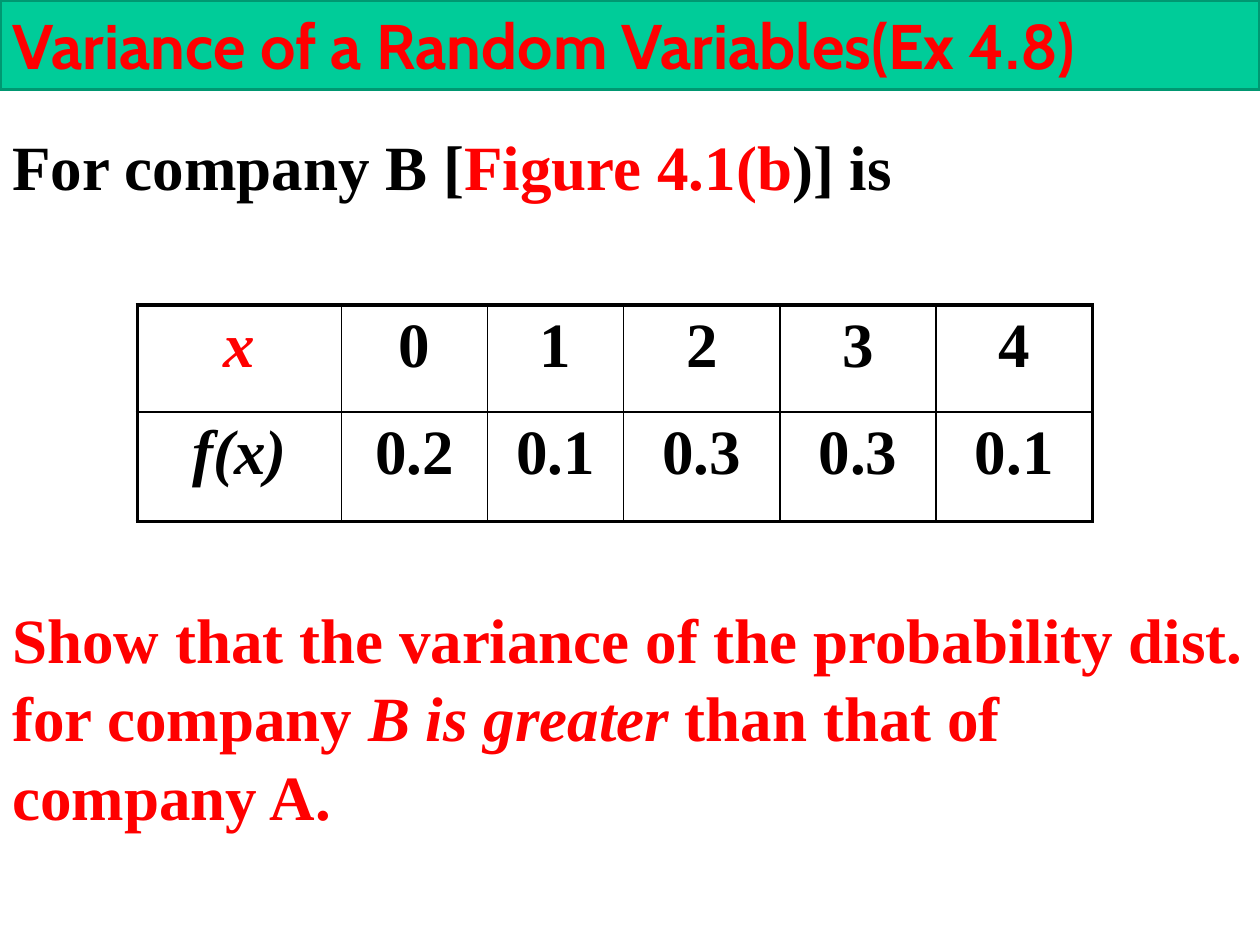
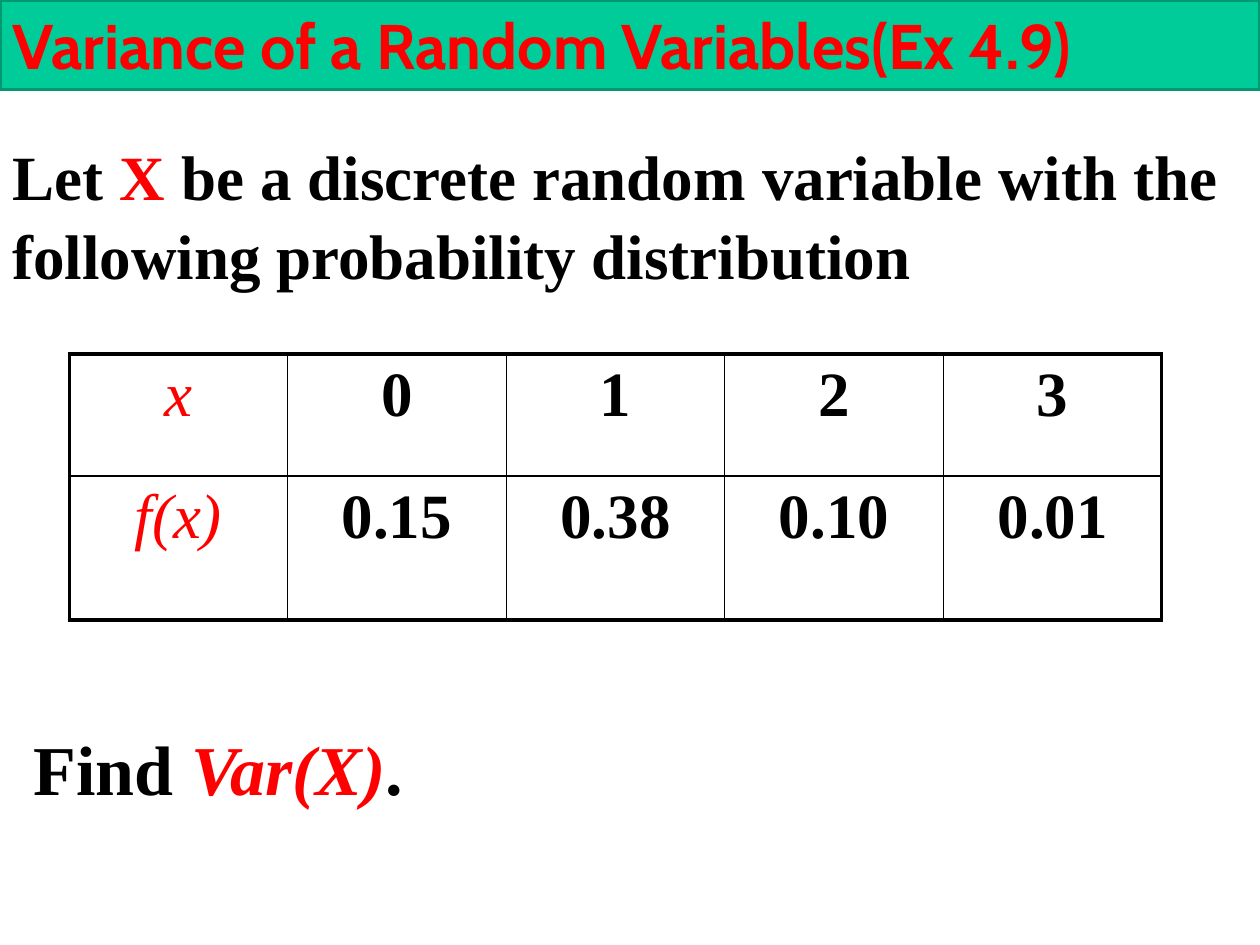
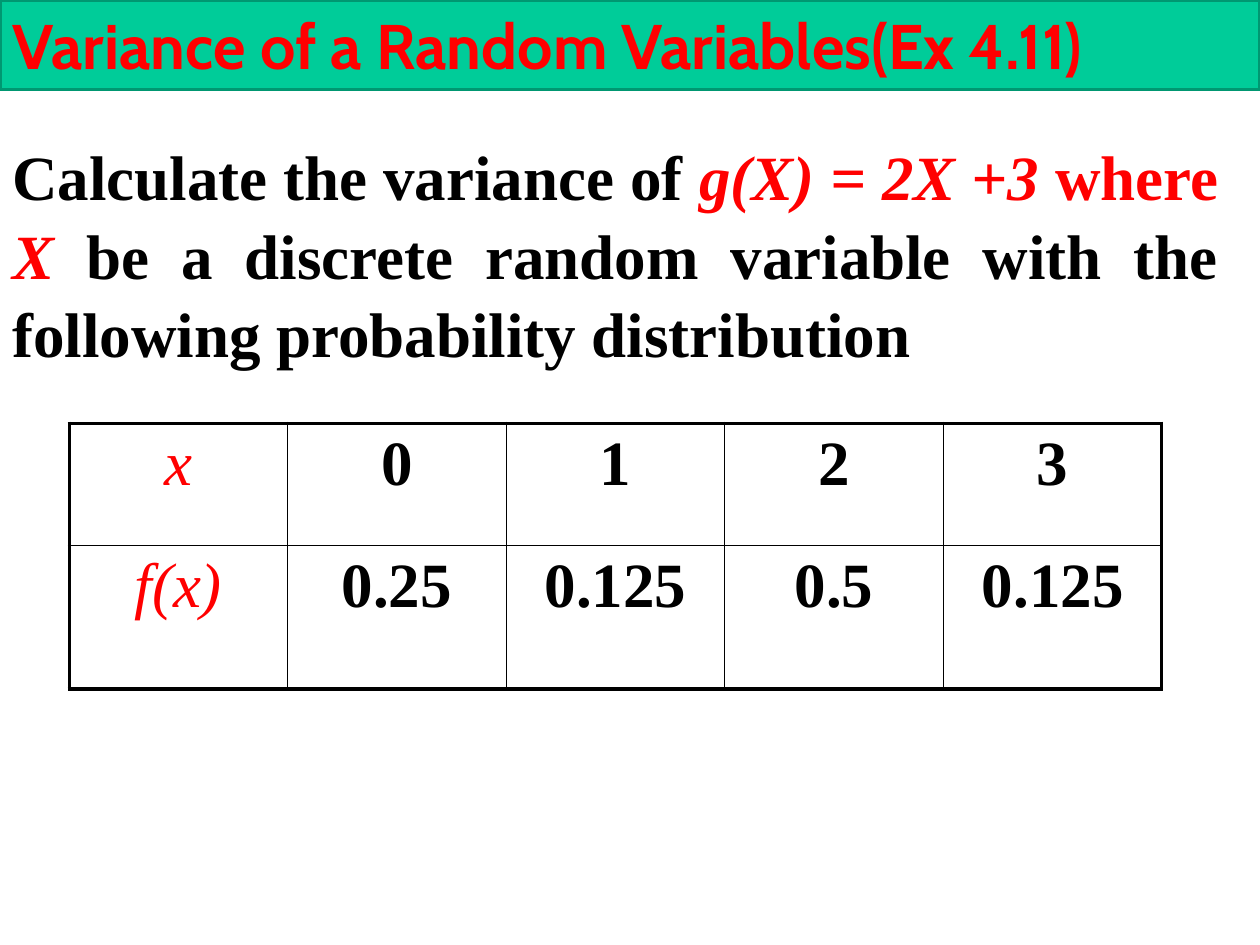
from lxml.etree import SubElement
from pptx import Presentation
from pptx.dml.color import RGBColor
from pptx.enum.text import MSO_ANCHOR, MSO_AUTO_SIZE as AUTO, PP_ALIGN as AL
from pptx.oxml.ns import qn
from pptx.util import Inches, Pt

C = {"red": "FF0000", "black": "000000", "band": "00CC99", "edge": "009771"}
TITLE_FONT, BODY_FONT = "Cabin", "Times New Roman"
THICK, THIN = 2.25, 1

# Each run is (text, colour, italic); each text is (box, size, alignment, runs)
EXAMPLES = [
    {
        "number": "4.8",
        "texts": [
            ((0, 0.94, 9.75, 0.71), 36, AL.JUSTIFY, [
                ("For company B [", "black", False),
                ("Figure 4.1(b", "red", False),
                (")] is", "black", False)]),
            ((0, 4.69, 10, 1.92), 36, AL.LEFT, [
                ("Show that the variance of the probability dist. for company ",
                 "red", False),
                ("B is greater ", "red", True),
                ("than that of company A.", "red", False)]),
        ],
        "at": (1.09, 2.42),
        "cols": [1.62, 1.16, 1.08, 1.24, 1.24, 1.24],
        "rows": [0.85, 0.87],
        "f": ["0.2", "0.1", "0.3", "0.3", "0.1"],
        "label_colors": ("red", "black"),
        "label_bold": True,
    },
    {
        "number": "4.9",
        "texts": [
            ((0, 1.02, 9.77, 1.31), 36, AL.JUSTIFY, [
                ("Let ", "black", False),
                ("X", "red", False),
                (" be a discrete random variable with the following "
                 "probability distribution", "black", False)]),
            ((0.17, 5.68, 4.83, 0.77), 40, AL.JUSTIFY, [
                ("Find ", "black", False),
                ("Var(X)", "red", True),
                (".", "black", False)]),
        ],
        "at": (0.55, 2.81),
        "cols": [1.73, 1.74, 1.73, 1.74, 1.73],
        "rows": [0.97, 1.14],
        "f": ["0.15", "0.38", "0.10", "0.01"],
        "label_colors": ("red", "red"),
        "label_bold": False,
    },
    {
        "number": "4.11",
        "texts": [
            ((0, 1.02, 9.77, 1.92), 36, AL.JUSTIFY, [
                ("Calculate the variance of ", "black", False),
                ("g(X) = 2X +3 ", "red", True),
                ("where", "red", False),
                (" X ", "red", True),
                ("be a discrete random variable with the following "
                 "probability distribution", "black", False)]),
        ],
        "at": (0.55, 3.36),
        "cols": [1.73, 1.74, 1.73, 1.74, 1.73],
        "rows": [0.97, 1.14],
        "f": ["0.25", "0.125", "0.5", "0.125"],
        "label_colors": ("red", "red"),
        "label_bold": False,
    },
]


def add_run(p, text, color, size=36, font=BODY_FONT, bold=True, italic=False):
    r = p.add_run()
    r.text = text
    r.font.name, r.font.size = font, Pt(size)
    r.font.bold, r.font.italic = bold, italic
    r.font.color.rgb = RGBColor.from_string(C[color])


def set_borders(cell, widths):
    tc_pr = cell._tc.get_or_add_tcPr()
    for side, width in zip("LRTB", widths):
        ln = SubElement(tc_pr, qn(f"a:ln{side}"), w=str(Pt(width)))
        fill = SubElement(ln, qn("a:solidFill"))
        SubElement(fill, qn("a:srgbClr"), val=C["black"])


prs = Presentation()
prs.slide_width, prs.slide_height = Inches(10), Inches(7.5)

for ex in EXAMPLES:
    s = prs.slides.add_slide(prs.slide_layouts[5])

    # Title band
    sp = s.shapes.title
    sp.left, sp.top, sp.width, sp.height = map(Inches, (0, 0, 10, 0.71))
    sp.fill.solid()
    sp.fill.fore_color.rgb = RGBColor.from_string(C["band"])
    sp.line.color.rgb = RGBColor.from_string(C["edge"])
    sp.line.width = Pt(2)
    tf = sp.text_frame
    tf.auto_size, tf.vertical_anchor = AUTO.NONE, MSO_ANCHOR.MIDDLE
    p = tf.paragraphs[0]
    p.alignment = AL.JUSTIFY
    add_run(p, f"Variance of a Random Variables(Ex {ex['number']})", "red",
            font=TITLE_FONT)

    # Problem text
    for box, size, align, runs in ex["texts"]:
        tf = s.shapes.add_textbox(*map(Inches, box)).text_frame
        tf.word_wrap, tf.auto_size = True, AUTO.SHAPE_TO_FIT_TEXT
        p = tf.paragraphs[0]
        p.alignment, p.line_spacing = align, 1.04
        for text, color, italic in runs:
            add_run(p, text, color, size, italic=italic)

    # Probability table
    cols, rows = ex["cols"], ex["rows"]
    frame = s.shapes.add_table(len(rows), len(cols), *map(
        Inches, (*ex["at"], sum(cols), sum(rows))))
    table = frame.table
    table.first_row = table.horz_banding = False
    for col, width in zip(table.columns, cols):
        col.width = Inches(width)
    for row, height in zip(table.rows, rows):
        row.height = Inches(height)
    x_values = [str(x) for x in range(len(ex["f"]))]
    for i, values in enumerate([["x"] + x_values, ["f(x)"] + ex["f"]]):
        for j, value in enumerate(values):
            cell = table.cell(i, j)
            edges = (j == 0, j == len(cols) - 1, i == 0, i == len(rows) - 1)
            set_borders(cell, [THICK if edge else THIN for edge in edges])
            cell.fill.background()
            p = cell.text_frame.paragraphs[0]
            p.alignment = AL.CENTER
            label = j == 0
            add_run(p, value, ex["label_colors"][i] if label else "black",
                    bold=ex["label_bold"] or not label, italic=label)

prs.save("out.pptx")
